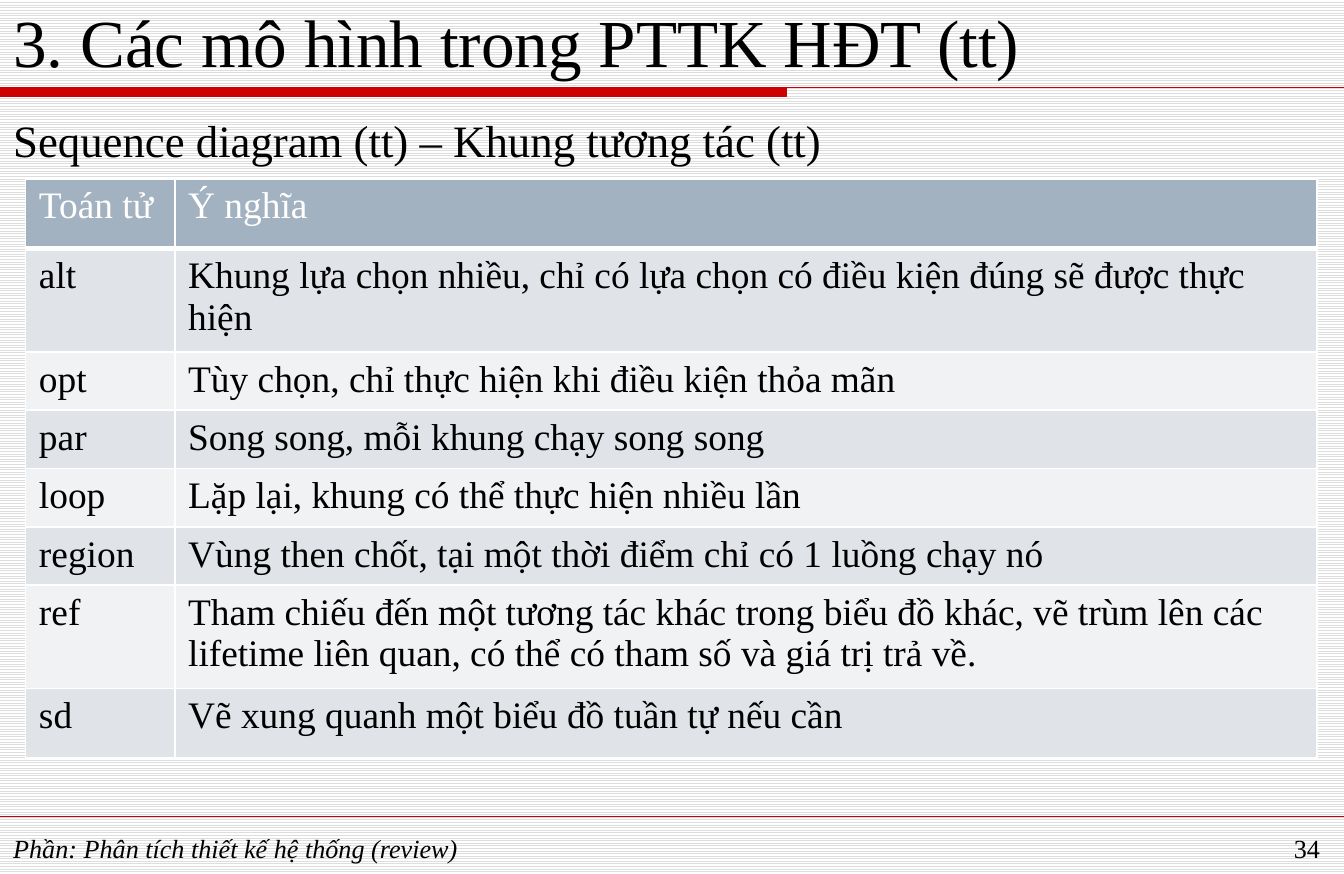
from dataclasses import dataclass

from lxml.etree import SubElement
from pptx import Presentation
from pptx.dml.color import RGBColor as Rgb
from pptx.enum.dml import MSO_PATTERN as Pattern
from pptx.enum.shapes import MSO_CONNECTOR as Connector
from pptx.enum.text import MSO_ANCHOR as Anchor, PP_ALIGN as Align
from pptx.oxml.ns import qn
from pptx.util import Inches, Pt

SLIDE_WIDTH, SLIDE_HEIGHT = 10, 6.5


@dataclass(frozen=True)
class Theme:
    font: str = "Times New Roman"
    ink: str = "000000"
    paper: str = "FFFFFF"
    stripe: str = "DDDDDD"
    accent: str = "CC0000"
    header: str = "A3B2C1"
    bands: tuple[str, str] = ("E0E4E9", "F0F2F4")
    title_size: int = 36
    heading_size: int = 24
    table_size: int = 20
    footer_size: int = 14


@dataclass(frozen=True)
class Label:
    text: str
    left: float
    top: float
    width: float
    height: float
    size: int
    anchor: Anchor = Anchor.TOP
    align: Align = Align.LEFT
    italic: bool = False
    space_before: int = 0


@dataclass(frozen=True)
class Operator:
    name: str
    meaning: str
    height: float = 0.41


THEME = Theme()

LABELS = [
    Label("3. Các mô hình trong PTTK HĐT (tt)", 0, 0.07, SLIDE_WIDTH, 0.58,
          THEME.title_size, anchor=Anchor.BOTTOM),
    Label("Sequence diagram (tt) – Khung tương tác (tt)", 0, 0.79, SLIDE_WIDTH, 5.2,
          THEME.heading_size, space_before=3),
    Label("Phần: Phân tích thiết kế hệ thống (review)", 0, 6.14, 8.17, 0.29,
          THEME.footer_size, italic=True),
    Label("34", 8.92, 6.14, 1, 0.31, THEME.footer_size, align=Align.RIGHT),
]

TABLE_LEFT, TABLE_TOP = 0.19, 1.33
COLUMN_WIDTHS = (1.11, 8.5)
OPERATORS = [
    Operator("Toán tử", "Ý nghĩa", 0.52),
    Operator("alt", "Khung lựa chọn nhiều, chỉ có lựa chọn có điều kiện đúng sẽ được thực hiện", 0.71),
    Operator("opt", "Tùy chọn, chỉ thực hiện khi điều kiện thỏa mãn"),
    Operator("par", "Song song, mỗi khung chạy song song"),
    Operator("loop", "Lặp lại, khung có thể thực hiện nhiều lần"),
    Operator("region", "Vùng then chốt, tại một thời điểm chỉ có 1 luồng chạy nó"),
    Operator("ref", "Tham chiếu đến một tương tác khác trong biểu đồ khác, vẽ trùm lên các "
             "lifetime liên quan, có thể có tham số và giá trị trả về.", 0.71),
    Operator("sd", "Vẽ xung quanh một biểu đồ tuần tự nếu cần", 0.52),
]


def write(para, text: str, size: int, color: str, italic: bool = False) -> None:
    span = para.add_run()
    span.text = text
    formats = {"name": THEME.font, "size": Pt(size), "bold": False, "italic": italic}
    for name, value in formats.items():
        setattr(span.font, name, value)
    span.font.color.rgb = Rgb.from_string(color)


def paint_background(page) -> None:
    fill = page.background.fill
    fill.patterned()
    fill.pattern = Pattern.LIGHT_HORIZONTAL
    fill.fore_color.rgb = Rgb.from_string(THEME.stripe)
    fill.back_color.rgb = Rgb.from_string(THEME.paper)


def draw_title_rule(page, top: float, bar_width: float, bar_height: float) -> None:
    builder = page.shapes.build_freeform(0, Inches(top), scale=1.0)
    corners = [(bar_width, top), (bar_width, top + bar_height), (0, top + bar_height)]
    builder.add_line_segments([(Inches(x), Inches(y)) for x, y in corners], close=True)
    builder.move_to(0, Inches(top))
    builder.add_line_segments([(Inches(SLIDE_WIDTH), Inches(top))], close=False)
    rule = builder.convert_to_shape()
    rule.shadow.inherit = False
    rule.fill.solid()
    rule.fill.fore_color.rgb = Rgb.from_string(THEME.accent)
    rule.line.color.rgb = Rgb.from_string(THEME.accent)
    rule.line.width = Pt(0.75)


def draw_footer_rule(page, top: float) -> None:
    rule = page.shapes.add_connector(
        Connector.STRAIGHT, 0, Inches(top), Inches(SLIDE_WIDTH), Inches(top))
    rule.line.color.rgb = Rgb.from_string(THEME.accent)
    rule.line.width = Pt(0.25)
    SubElement(rule.element.spPr, qn("a:effectLst"))


def draw_label(page, label: Label) -> None:
    box = page.shapes.add_textbox(
        *map(Inches, (label.left, label.top, label.width, label.height)))
    frame = box.text_frame
    frame.word_wrap = True
    frame.vertical_anchor = label.anchor
    para = frame.paragraphs[0]
    para.alignment = label.align
    para.space_before = Pt(label.space_before)
    write(para, label.text, label.size, THEME.ink, label.italic)


def draw_borders(cell, widths: dict[str, int]) -> None:
    properties = cell._tc.get_or_add_tcPr()
    for side, width in widths.items():
        border = SubElement(properties, qn(f"a:ln{side}"), w=str(Pt(width)))
        fill = SubElement(border, qn("a:solidFill"))
        SubElement(fill, qn("a:srgbClr"), val=THEME.paper)


def draw_table(page) -> None:
    height = sum(operator.height for operator in OPERATORS)
    frame = page.shapes.add_table(
        len(OPERATORS), len(COLUMN_WIDTHS),
        *map(Inches, (TABLE_LEFT, TABLE_TOP, sum(COLUMN_WIDTHS), height)))
    table = frame.table
    table.first_row = table.horz_banding = False
    for column, width in zip(table.columns, COLUMN_WIDTHS):
        column.width = Inches(width)
    for index, operator in enumerate(OPERATORS):
        table.rows[index].height = Inches(operator.height)
        is_header = index == 0
        band = THEME.header if is_header else THEME.bands[(index - 1) % 2]
        color = THEME.paper if is_header else THEME.ink
        widths = {"L": 1, "R": 1, "T": 3 if index == 1 else 1, "B": 3 if is_header else 1}
        for cell, text in zip(table.rows[index].cells, (operator.name, operator.meaning)):
            draw_borders(cell, widths)
            cell.fill.solid()
            cell.fill.fore_color.rgb = Rgb.from_string(band)
            write(cell.text_frame.paragraphs[0], text, THEME.table_size, color)


def main() -> None:
    deck = Presentation()
    deck.slide_width, deck.slide_height = Inches(SLIDE_WIDTH), Inches(SLIDE_HEIGHT)
    page = deck.slides.add_slide(deck.slide_layouts[6])
    paint_background(page)
    draw_title_rule(page, top=0.65, bar_width=5.85, bar_height=0.07)
    draw_footer_rule(page, top=6.07)
    for label in LABELS:
        draw_label(page, label)
    draw_table(page)
    deck.save("out.pptx")


main()
